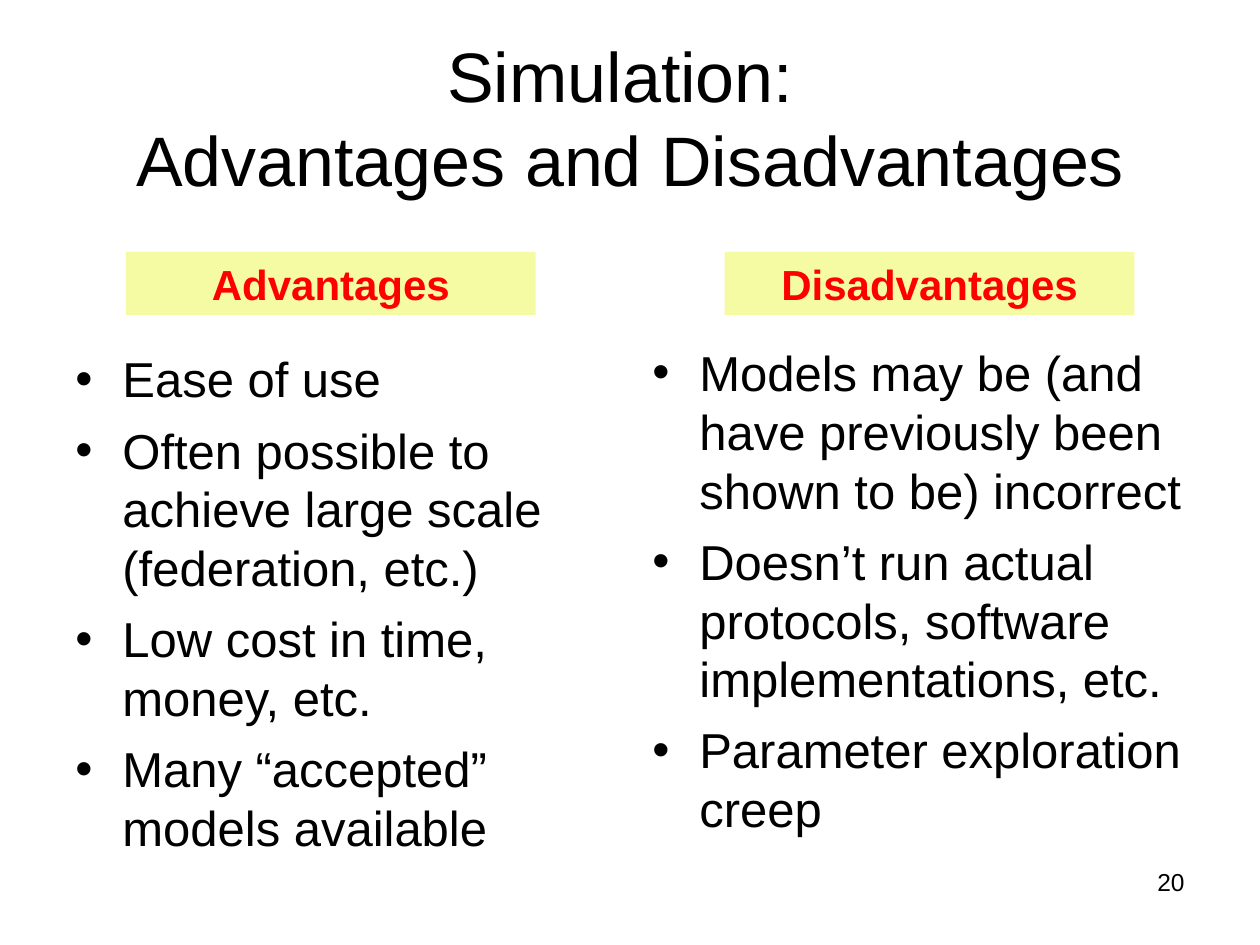
from dataclasses import dataclass

from lxml.etree import SubElement
from pptx import Presentation
from pptx.dml.color import RGBColor
from pptx.enum.shapes import MSO_SHAPE
from pptx.enum.text import MSO_ANCHOR, PP_ALIGN
from pptx.oxml.ns import qn
from pptx.shapes.autoshape import Shape
from pptx.slide import Slide
from pptx.util import Cm, Pt

COLORS = {"text": "000000", "heading": "FF0000", "band": "F5FBA3"}
FONT = "Arial"
BULLET_INDENT = Cm(0.95)
BAND_TOP, BAND_WIDTH, BAND_HEIGHT = Cm(5.08), Cm(8.26), Cm(1.27)
LIST_WIDTH = Cm(11.23)


@dataclass
class Column:
    heading: str
    band_left: Cm
    list_left: Cm
    list_top: Cm
    list_height: Cm
    points: list[str]


COLUMNS = [
    Column("Advantages", Cm(2.54), Cm(1.27), Cm(6.91), Cm(10.67), [
        "Ease of use",
        "Often possible to achieve large scale (federation, etc.)",
        "Low cost in time, money, etc.",
        "Many “accepted” models available",
    ]),
    Column("Disadvantages", Cm(14.61), Cm(12.9), Cm(6.78), Cm(10.24), [
        "Models may be (and have previously been shown to be) incorrect",
        "Doesn’t run actual protocols, software implementations, etc.",
        "Parameter exploration creep",
    ]),
]


def write_text(shape: Shape, *paragraphs: str, size: int, color: str = "text",
               bold: bool = False, align: PP_ALIGN = PP_ALIGN.LEFT,
               anchor: MSO_ANCHOR = MSO_ANCHOR.TOP, bullet: str = "",
               space_before: int = 0) -> None:
    frame = shape.text_frame
    frame.word_wrap = True
    frame.vertical_anchor = anchor
    for index, content in enumerate(paragraphs):
        paragraph = frame.add_paragraph() if index else frame.paragraphs[0]
        paragraph.text = content
        paragraph.alignment = align
        paragraph.space_before = Pt(space_before if index else 0)
        if bullet:
            properties = paragraph._p.get_or_add_pPr()
            properties.set("marL", str(BULLET_INDENT))
            properties.set("indent", str(-BULLET_INDENT))
            SubElement(properties, qn("a:buFont"), typeface=FONT)
            SubElement(properties, qn("a:buChar"), char=bullet)
        for font in [paragraph.font, *(run.font for run in paragraph.runs)]:
            font.name = FONT
            font.size = Pt(size)
            font.bold = bold
            font.color.rgb = RGBColor.from_string(COLORS[color])


def draw_column(slide: Slide, column: Column) -> None:
    points = slide.shapes.add_textbox(
        column.list_left, column.list_top, LIST_WIDTH, column.list_height)
    write_text(points, *column.points, size=28, bullet="•", space_before=7)

    band = slide.shapes.add_shape(
        MSO_SHAPE.RECTANGLE, column.band_left, BAND_TOP, BAND_WIDTH, BAND_HEIGHT)
    band.shadow.inherit = False
    band.fill.solid()
    band.fill.fore_color.rgb = RGBColor.from_string(COLORS["band"])
    band.line.fill.background()
    write_text(band, column.heading, size=24, color="heading", bold=True,
               align=PP_ALIGN.CENTER)


def main() -> None:
    presentation = Presentation()
    presentation.slide_width = Cm(25.4)
    presentation.slide_height = Cm(19.05)
    slide = presentation.slides.add_slide(presentation.slide_layouts[6])

    title = slide.shapes.add_textbox(Cm(1.27), Cm(0.76), Cm(22.86), Cm(3.18))
    write_text(title, "Simulation: \vAdvantages and Disadvantages", size=40,
               align=PP_ALIGN.CENTER, anchor=MSO_ANCHOR.MIDDLE)

    for column in COLUMNS:
        draw_column(slide, column)

    page_number = slide.shapes.add_textbox(Cm(18.21), Cm(17.35), Cm(5.92), Cm(1.32))
    write_text(page_number, "20", size=14, align=PP_ALIGN.RIGHT)

    presentation.save("out.pptx")


if __name__ == "__main__":
    main()
